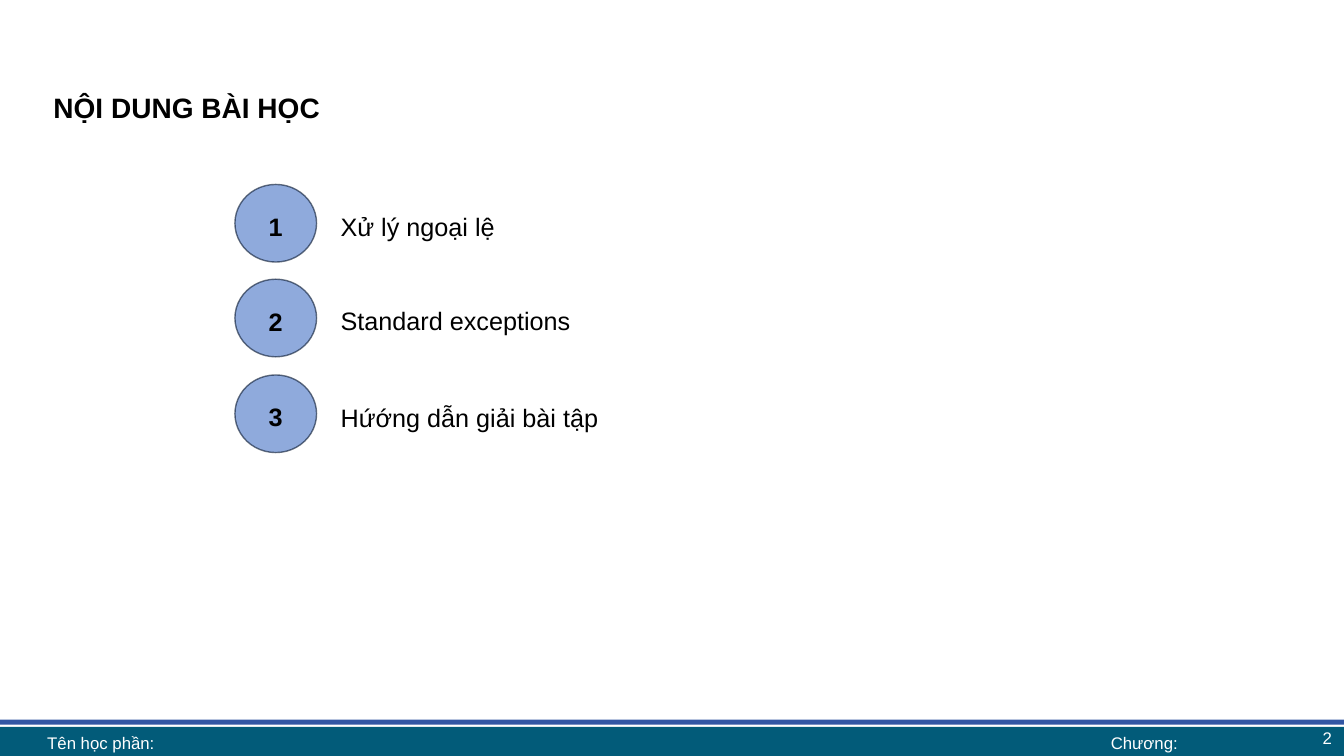
"""Build the lesson contents slide with three numbered topics and a footer."""
from lxml.etree import SubElement
from pptx import Presentation
from pptx.dml.color import RGBColor
from pptx.enum.shapes import MSO_SHAPE
from pptx.enum.text import MSO_ANCHOR, MSO_AUTO_SIZE, PP_ALIGN
from pptx.oxml.ns import qn
from pptx.util import Inches, Pt

TITLE = "NỘI DUNG BÀI HỌC"
TOPICS = [
    ("Xử lý ngoại lệ", 1.83, 2.0),
    ("Standard exceptions", 2.77, 2.93),
    ("Hứớng dẫn giải bài tập", 3.72, 3.89),
]
FOOTERS = [
    ("2", (10.31, 7.14, 3, 0.35), PP_ALIGN.RIGHT),
    ("Chương:", (10.6, 7.21, 1.5, 0.31), PP_ALIGN.CENTER),
    ("Tên học phần:", (0.37, 7.21, 10.24, 0.31), PP_ALIGN.LEFT),
]
COLORS = {
    "band": "025B79",
    "stripe": "3256A4",
    "circle": "8FAADC",
    "outline": "08172E",
    "text": "000000",
    "footer": "FFFFFF",
}
BARS = [
    ("band", (0, 7.21, 13.33, 0.31)),
    ("stripe", (-0.01, 7.14, 13.36, 0.05)),
]
OUTLINE_ALPHA = "60000"


def color(name):
    return RGBColor.from_string(COLORS[name])


def add_filled_shape(slide, preset, box, fill):
    shape = slide.shapes.add_shape(preset, *map(Inches, box))
    shape.shadow.inherit = False
    shape.fill.solid()
    shape.fill.fore_color.rgb = color(fill)
    shape.line.fill.background()
    return shape


def add_text_box(slide, box):
    shape = slide.shapes.add_textbox(*map(Inches, box))
    shape.text_frame.word_wrap = True
    return shape


def write(shape, text, size, align, anchor=MSO_ANCHOR.TOP, bold=False,
          ink="text", spacing=None, before=0):
    frame = shape.text_frame
    frame.text = text
    frame.vertical_anchor = anchor
    paragraph = frame.paragraphs[0]
    paragraph.alignment = align
    paragraph.line_spacing = spacing
    paragraph.space_before = Pt(before)
    font = paragraph.runs[0].font
    font.name = "Arial"
    font.size = Pt(size)
    font.bold = bold
    font.color.rgb = color(ink)


def add_title(slide):
    title = slide.shapes.title
    title.left, title.top, title.width, title.height = map(
        Inches, (0.43, 0.78, 12.47, 0.87))
    write(title, TITLE, 20, PP_ALIGN.JUSTIFY, bold=True, spacing=1.2, before=5)
    title.text_frame.auto_size = MSO_AUTO_SIZE.NONE


def add_topic(slide, number, label, circle_top, label_top):
    circle = add_filled_shape(
        slide, MSO_SHAPE.OVAL, (2.33, circle_top, 0.81, 0.77), "circle")
    circle.line.color.rgb = color("outline")
    circle.line.width = Pt(1)
    outline = circle.line.fill._xPr.find(".//" + qn("a:srgbClr"))
    SubElement(outline, qn("a:alpha"), val=OUTLINE_ALPHA)
    write(circle, str(number), 18, PP_ALIGN.CENTER, MSO_ANCHOR.MIDDLE,
          bold=True, spacing=1.2, before=5)
    topic = add_text_box(slide, (3.28, label_top, 7.6, 0.42))
    write(topic, label, 18, PP_ALIGN.JUSTIFY, spacing=Pt(25), before=5)
    topic.text_frame.auto_size = MSO_AUTO_SIZE.SHAPE_TO_FIT_TEXT


def add_footer(slide, text, box, align):
    footer = add_text_box(slide, box)
    footer.text_frame.margin_top = footer.text_frame.margin_bottom = 0
    write(footer, text, 12, align, MSO_ANCHOR.MIDDLE, ink="footer")


def main():
    presentation = Presentation()
    presentation.slide_width = Inches(13.33)
    presentation.slide_height = Inches(7.5)
    slide = presentation.slides.add_slide(presentation.slide_layouts[5])
    for fill, box in BARS:
        add_filled_shape(slide, MSO_SHAPE.RECTANGLE, box, fill)
    add_title(slide)
    for number, topic in enumerate(TOPICS, start=1):
        add_topic(slide, number, *topic)
    for footer in FOOTERS:
        add_footer(slide, *footer)
    presentation.save("out.pptx")


if __name__ == "__main__":
    main()
